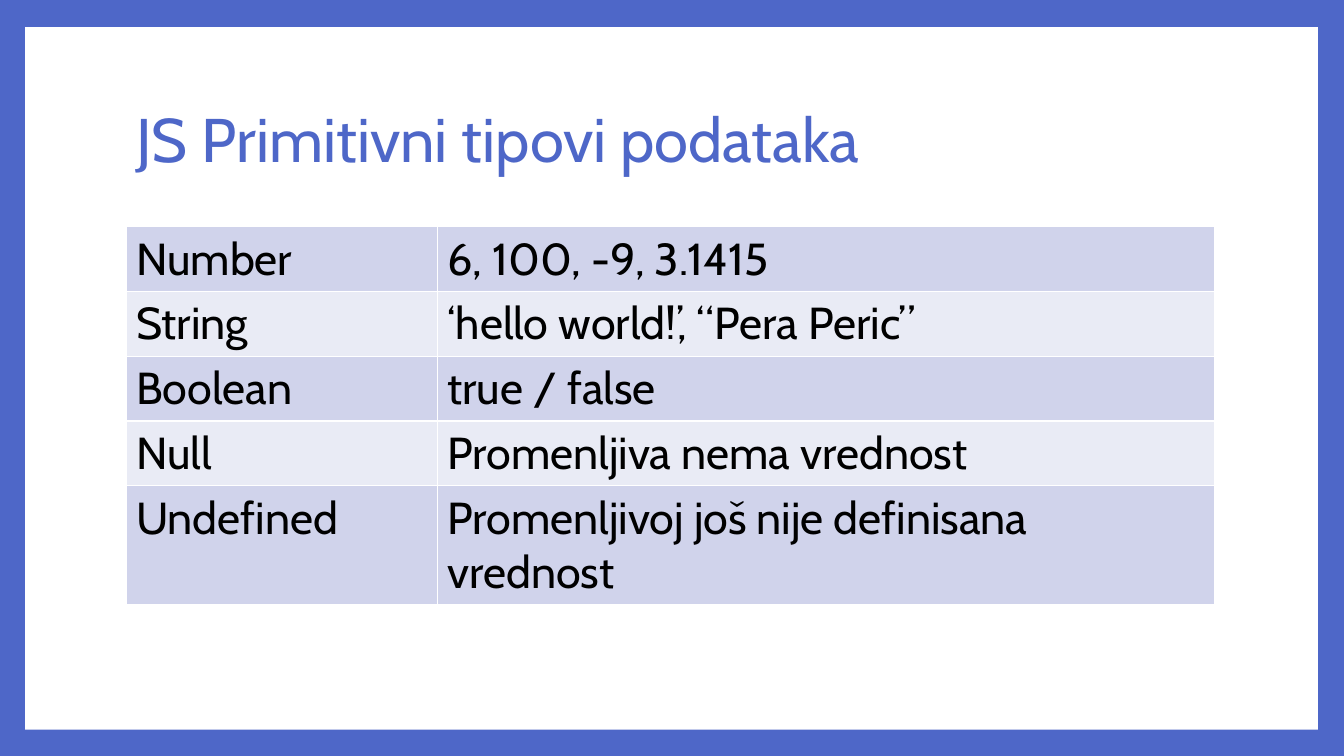
from dataclasses import dataclass
from typing import NamedTuple

from lxml import etree
from pptx import Presentation
from pptx import util as u
from pptx.dml import color
from pptx.enum import shapes, text
from pptx.oxml import ns


@dataclass(frozen=True)
class Theme:
    """Colours, font and type sizes in points."""
    accent: str = "4E67C8"
    paper: str = "FFFFFF"
    ink: str = "000000"
    bands: tuple[str, str] = ("D0D3EB", "E9EBF5")
    font: str = "Cabin"
    title_size: int = 44
    body_size: int = 32
    border: float = 1


class Box(NamedTuple):
    """Left, top, width and height in inches."""
    left: float
    top: float
    width: float
    height: float

    def emu(self) -> list[u.Inches]:
        """Return the four lengths for python-pptx."""
        return [u.Inches(length) for length in self]


@dataclass(frozen=True)
class PrimitiveType:
    """A data type and its example or meaning."""
    name: str
    meaning: str


THEME = Theme()
WIDTH, HEIGHT = 13.33, 7.5
MARGIN = WIDTH * 0.0938
CONTENT = WIDTH * 0.81
NAME_SHARE = 0.286
ROW = HEIGHT * 0.084
PANEL = Box(0.25, 0.27, 12.82, 6.97)
TITLE = Box(MARGIN, HEIGHT * 0.09, CONTENT, HEIGHT * 0.197)

TYPES = [
    PrimitiveType("Number", "6, 100, -9, 3.1415"),
    PrimitiveType("String", "‘hello world!’, “Pera Peric”"),
    PrimitiveType("Boolean", "true / false"),
    PrimitiveType("Null", "Promenljiva nema vrednost"),
    PrimitiveType("Undefined", "Promenljivoj još nije definisana vrednost"),
]


def paint(fill, rgb: str) -> None:
    """Make a fill solid in the given colour."""
    fill.solid()
    fill.fore_color.rgb = color.RGBColor.from_string(rgb)


def write(frame, wording: str, *, size: float, rgb: str, spacing: float = 1.0) -> None:
    """Write one left-aligned paragraph into a text frame."""
    paragraph = frame.paragraphs[0]
    paragraph.alignment = text.PP_ALIGN.LEFT
    paragraph.line_spacing = spacing
    run = paragraph.add_run()
    run.text = wording
    run.font.name = THEME.font
    run.font.size = u.Pt(size)
    run.font.color.rgb = color.RGBColor.from_string(rgb)


def add_borders(cell) -> None:
    """Draw the thin border on all four sides of a cell."""
    properties = cell._tc.get_or_add_tcPr()
    for side in ("lnL", "lnR", "lnT", "lnB"):
        line = etree.SubElement(properties, ns.qn(f"a:{side}"), w=str(u.Pt(THEME.border)))
        solid = etree.SubElement(line, ns.qn("a:solidFill"))
        etree.SubElement(solid, ns.qn("a:srgbClr"), val=THEME.paper)


def add_title(slide, wording: str) -> None:
    """Place the title over the white panel."""
    title = slide.shapes.title
    title.left, title.top, title.width, title.height = TITLE.emu()
    title.text_frame.vertical_anchor = text.MSO_ANCHOR.MIDDLE
    title.text_frame.auto_size = text.MSO_AUTO_SIZE.NONE
    write(title.text_frame, wording, size=THEME.title_size, rgb=THEME.accent, spacing=0.9)


def add_panel(slide) -> None:
    """Lay the white panel behind the title."""
    panel = slide.shapes.add_shape(shapes.MSO_SHAPE.RECTANGLE, *PANEL.emu())
    panel.shadow.inherit = False
    panel.line.fill.background()
    paint(panel.fill, THEME.paper)
    slide.shapes.title.element.addprevious(panel.element)


def add_types(slide, types: list[PrimitiveType]) -> None:
    """Add the banded table of primitive types."""
    box = Box(MARGIN, HEIGHT * 0.3, CONTENT, ROW * len(types))
    table = slide.shapes.add_table(len(types), 2, *box.emu()).table
    table.first_row = False
    for column, share in zip(table.columns, (NAME_SHARE, 1 - NAME_SHARE)):
        column.width = u.Inches(CONTENT * share)
    for row, primitive in enumerate(types):
        for column, wording in enumerate((primitive.name, primitive.meaning)):
            cell = table.cell(row, column)
            add_borders(cell)
            paint(cell.fill, THEME.bands[row % 2])
            write(cell.text_frame, wording, size=THEME.body_size, rgb=THEME.ink)


def main() -> None:
    """Build and save the slide."""
    deck = Presentation()
    deck.slide_width, deck.slide_height = u.Inches(WIDTH), u.Inches(HEIGHT)
    slide = deck.slides.add_slide(deck.slide_layouts.get_by_name("Title Only"))
    paint(slide.background.fill, THEME.accent)
    add_panel(slide)
    add_title(slide, "JS Primitivni tipovi podataka")
    add_types(slide, TYPES)
    deck.save("out.pptx")


if __name__ == "__main__":
    main()
